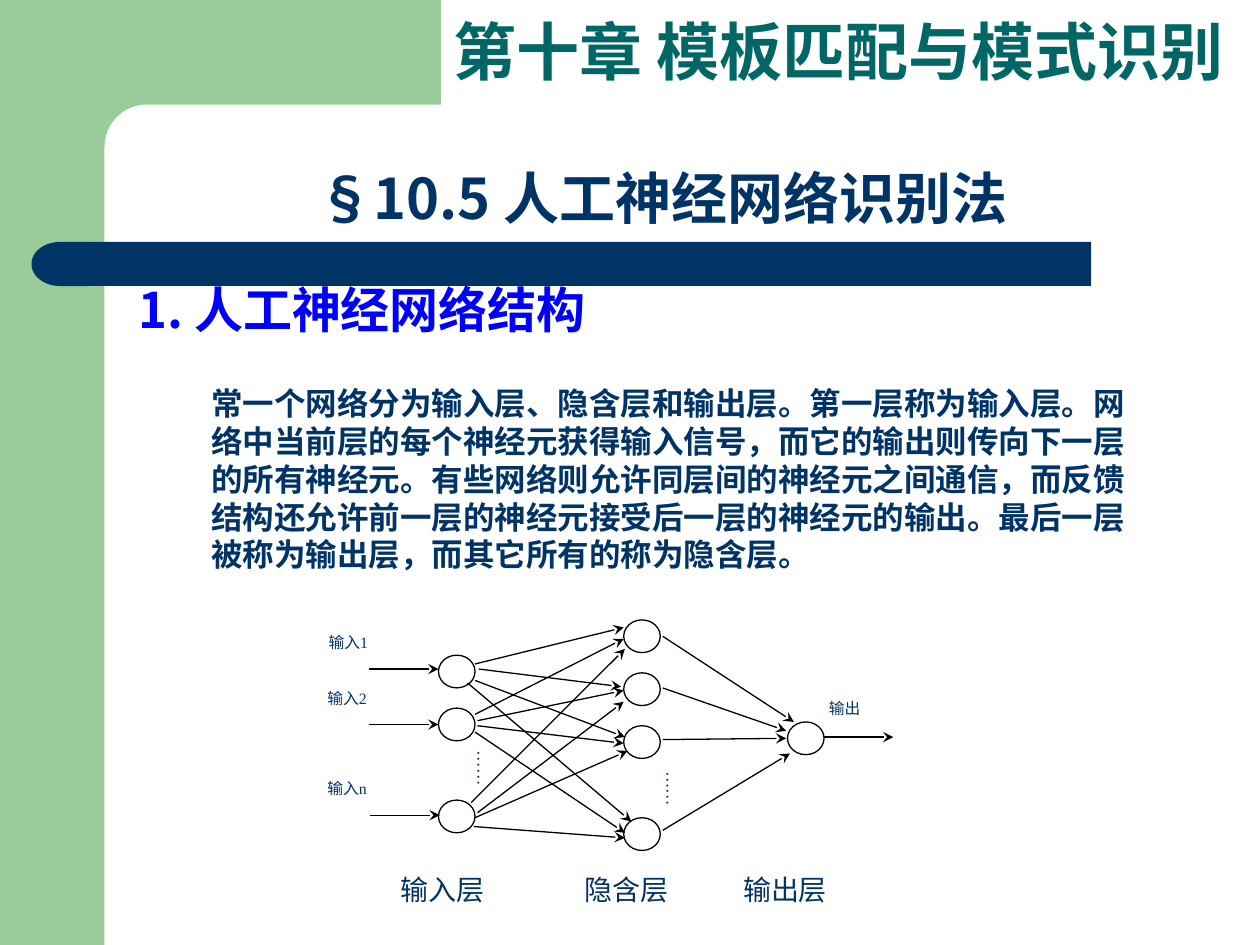
import dataclasses
import itertools

import pptx
import pptx.dml.color
import pptx.enum.shapes
import pptx.enum.text
import pptx.oxml
import pptx.oxml.ns
import pptx.util

SCALE = 9144  # EMU per px, 100 px to the inch
COLORS = {
    "green": "99CC99",
    "navy": "003366",
    "teal": "006666",
    "blue": "0000FF",
    "white": "FFFFFF",
    "black": "000000",
}
SANS = "Noto Sans CJK SC"
SERIF = "Times New Roman"
KIND = pptx.enum.shapes.MSO_SHAPE
ALIGN = pptx.enum.text.PP_ALIGN
NODE_W, NODE_H = 29, 26


@dataclasses.dataclass(frozen=True)
class Box:
    x: int
    y: int
    w: int
    h: int


@dataclasses.dataclass(frozen=True)
class Label:
    text: str
    box: Box
    size: int
    color: str = "navy"
    font: str = SANS
    bold: bool = False
    align: ALIGN = ALIGN.LEFT
    upright: bool = False


@dataclasses.dataclass(frozen=True)
class Arrow:
    x1: int
    y1: int
    x2: int
    y2: int


def px(*nums: int) -> list[pptx.util.Emu]:
    return [pptx.util.Emu(n * SCALE) for n in nums]


def rgb(name: str) -> pptx.dml.color.RGBColor:
    return pptx.dml.color.RGBColor.from_string(COLORS[name])


def add_sub(parent, tag: str, **attrs: str):
    node = parent.makeelement(pptx.oxml.ns.qn(tag), attrs)
    parent.append(node)
    return node


def draw_shape(slide, kind: KIND, box: Box, fill: str, line: str = ""):
    shape = slide.shapes.add_shape(kind, *px(box.x, box.y, box.w, box.h))
    shape.shadow.inherit = False
    shape.fill.solid()
    shape.fill.fore_color.rgb = rgb(fill)
    if line:
        shape.line.color.rgb = rgb(line)
        shape.line.width = pptx.util.Pt(0.75)
    else:
        shape.line.fill.background()
    return shape


def draw_arrow(slide, arrow: Arrow) -> None:
    line = slide.shapes.add_connector(
        pptx.enum.shapes.MSO_CONNECTOR.STRAIGHT,
        *px(arrow.x1, arrow.y1, arrow.x2, arrow.y2),
    )
    line.line.color.rgb = rgb("black")
    line.line.width = pptx.util.Pt(0.75)
    add_sub(line.line._get_or_add_ln(), "a:tailEnd", type="stealth")
    add_sub(line._element.spPr, "a:effectLst")


def write(shape, label: Label) -> None:
    """Place the shape and fill it with the label's text and format."""
    box = label.box
    shape.left, shape.top, shape.width, shape.height = px(box.x, box.y, box.w, box.h)
    frame = shape.text_frame
    frame.word_wrap = True
    frame.auto_size = pptx.enum.text.MSO_AUTO_SIZE.NONE
    frame.vertical_anchor = pptx.enum.text.MSO_ANCHOR.TOP
    side, end = px(5, 10) if label.upright else px(10, 5)
    frame.margin_left = frame.margin_right = side
    frame.margin_top = frame.margin_bottom = end
    if label.upright:
        frame._txBody.bodyPr.set("vert", "eaVert")
    frame.text = label.text
    para = frame.paragraphs[0]
    para.alignment = label.align
    font = para.font
    font.name = label.font
    font.size = pptx.util.Pt(label.size)
    font.bold = label.bold
    font.color.rgb = rgb(label.color)
    add_sub(font._element, "a:ea", typeface=SANS)


def draw_label(slide, label: Label) -> None:
    box = label.box
    write(slide.shapes.add_textbox(*px(box.x, box.y, box.w, box.h)), label)


def draw_frame(slide) -> None:
    """Draw the green corner and the navy bar."""
    draw_shape(slide, KIND.RECTANGLE, Box(0, 0, 83, 750), "green")
    draw_shape(slide, KIND.RECTANGLE, Box(75, 0, 275, 117), "green")
    panel = draw_shape(slide, KIND.ROUNDED_RECTANGLE, Box(83, 83, 558, 67), "white")
    panel.adjustments[0] = 0.5
    draw_shape(slide, KIND.RECTANGLE, Box(68, 192, 798, 35), "navy")
    cap = draw_shape(slide, KIND.FLOWCHART_DELAY, Box(25, 192, 45, 35), "navy")
    cap._element.spPr.xfrm.set("flipH", "1")


CHAPTER = Label("第十章 模板匹配与模式识别", Box(350, 5, 650, 70), 36, "teal", bold=True)
HEADS = [
    Label("§10.5 人工神经网络识别法", Box(242, 125, 592, 64), 32, bold=True),
    Label("1. 人工神经网络结构", Box(100, 217, 817, 57), 28, "blue", bold=True),
    Label(
        "常一个网络分为输入层、隐含层和输出层。第一层称为输入层。"
        "网络中当前层的每个神经元获得输入信号，而它的输出则传向下一层的所有神经元。"
        "有些网络则允许同层间的神经元之间通信，"
        "而反馈结构还允许前一层的神经元接受后一层的神经元的输出。"
        "最后一层被称为输出层，而其它所有的称为隐含层。",
        Box(158, 300, 767, 160), 18, bold=True,
    ),
]
NODES = [
    *itertools.product([348], [520, 562, 635]),
    *itertools.product([495], [492, 534, 576, 649]),
    (625, 573),
]
ARROWS = [
    # into the input layer
    Arrow(293, 531, 348, 531),
    Arrow(293, 575, 348, 575),
    Arrow(294, 647, 349, 647),
    # from input 1
    Arrow(377, 527, 495, 498),
    Arrow(380, 531, 493, 545),
    Arrow(377, 540, 496, 585),
    Arrow(371, 542, 501, 652),
    # from input 2
    Arrow(377, 567, 495, 507),
    Arrow(379, 572, 495, 548),
    Arrow(379, 576, 495, 590),
    Arrow(377, 581, 496, 661),
    # from input n
    Arrow(374, 637, 496, 515),
    Arrow(379, 645, 495, 557),
    Arrow(377, 649, 498, 596),
    Arrow(376, 656, 496, 665),
    # from the hidden layer
    Arrow(526, 505, 630, 573),
    Arrow(526, 546, 624, 580),
    Arrow(526, 587, 624, 586),
    Arrow(526, 659, 627, 598),
    # out of the network
    Arrow(654, 585, 709, 585),
]
PORTS = [("输入1", 251, 497), ("输入2", 250, 542), ("输入n", 250, 613), ("输出", 648, 550)]
DOTS = [(343, 586), (493, 602)]
LAYERS = [("输入层", 308), ("隐含层", 454), ("输出层", 580)]


def main() -> None:
    deck = pptx.Presentation()
    deck.slide_width, deck.slide_height = px(1000, 750)
    slide = deck.slides.add_slide(deck.slide_layouts[5])
    draw_frame(slide)
    write(slide.shapes.title, CHAPTER)
    for head in HEADS:
        draw_label(slide, head)
    for x, y in NODES:
        box = Box(x, y, NODE_W, NODE_H)
        draw_shape(slide, KIND.FLOWCHART_CONNECTOR, box, "white", "black")
    for arrow in ARROWS:
        draw_arrow(slide, arrow)
    for x, y in DOTS:
        box = Box(x, y, 55, 56)
        draw_label(slide, Label("……", box, 10, font=SERIF, align=ALIGN.JUSTIFY, upright=True))
    for text, x, y in PORTS:
        box = Box(x, y, 110, 42)
        draw_label(slide, Label(text, box, 9, font=SERIF, align=ALIGN.JUSTIFY))
    for text, x in LAYERS:
        draw_label(slide, Label(text, Box(x, 688, 100, 37), 16))
    deck.save("out.pptx")


if __name__ == "__main__":
    main()
